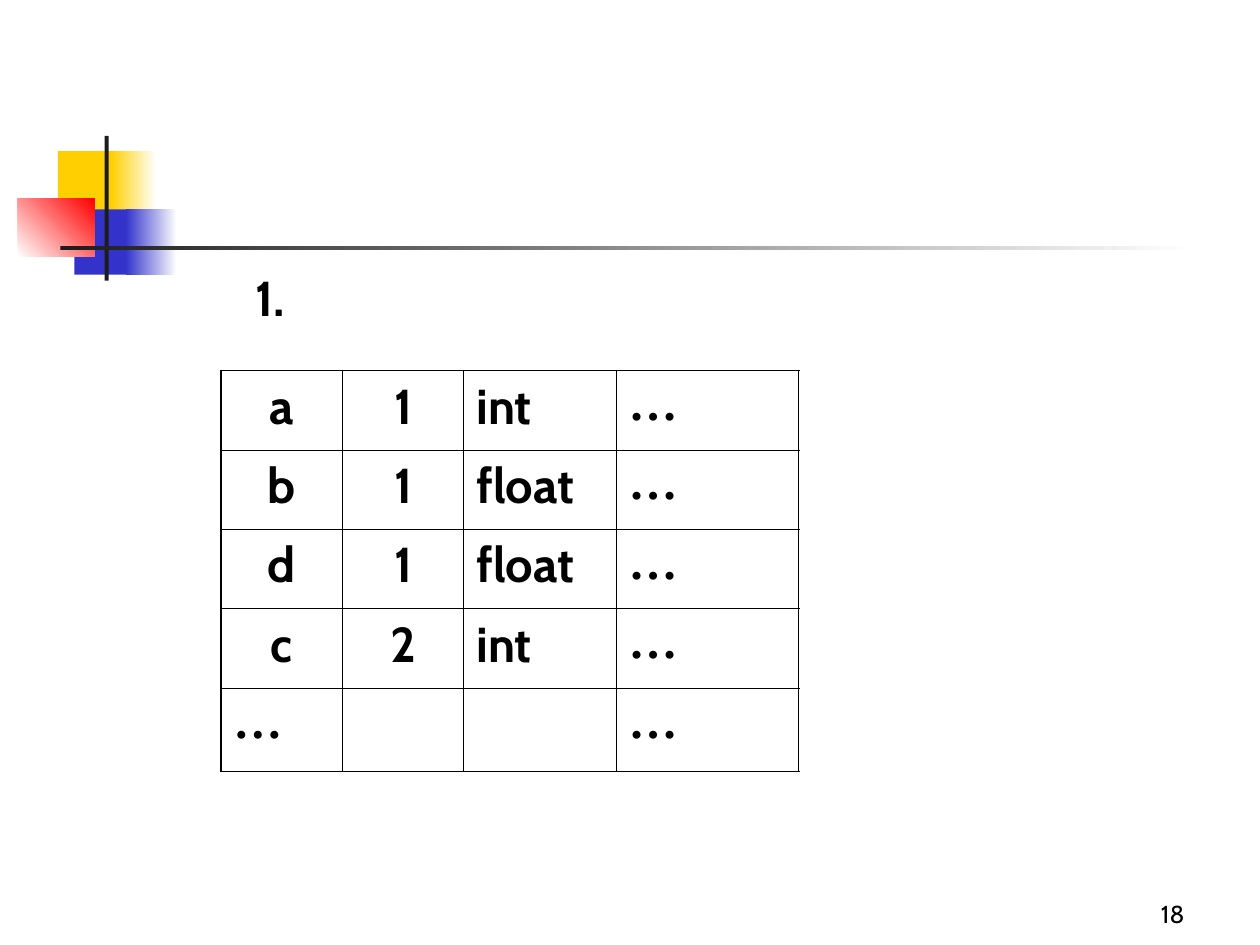
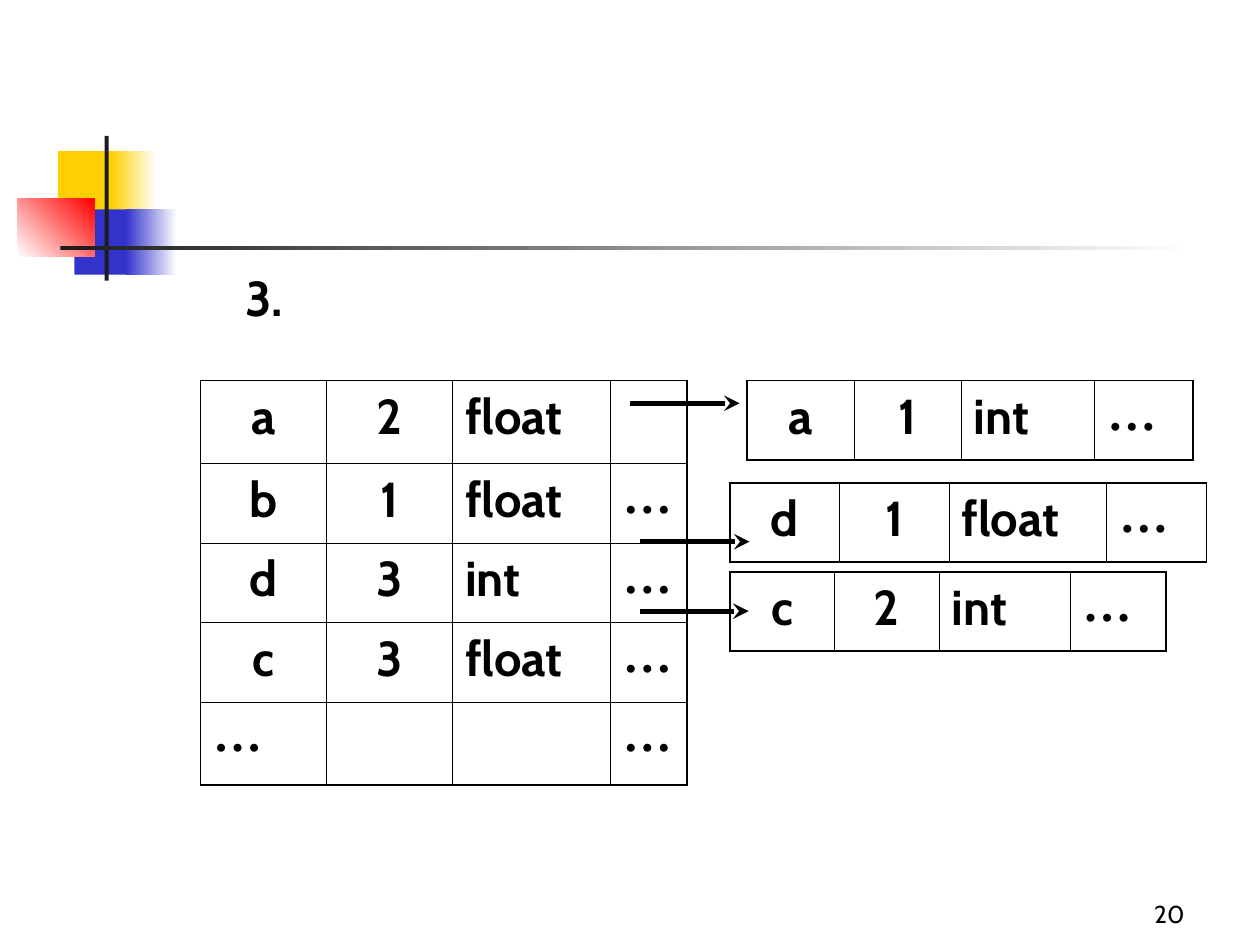
import pptx
import pptx.dml.color
import pptx.enum.shapes
import pptx.enum.text
import pptx.oxml
import pptx.oxml.ns
import pptx.util
from lxml import etree

Cm = pptx.util.Cm
Pt = pptx.util.Pt
ALIGN = pptx.enum.text.PP_ALIGN
ANCHOR = pptx.enum.text.MSO_ANCHOR

# Shared look
BLACK, WHITE = "000000", "FFFFFF"
YELLOW, BLUE, RED, DARK = "FFCF01", "3333CC", "FF0000", "1C1C1C"
BODY_FORMAT = {"name": "Cabin", "size": Pt(28), "bold": True}
DOTS_FORMAT = {**BODY_FORMAT, "name": "Times New Roman"}
NUMBER_FORMAT = {"name": "Cabin", "size": Pt(14), "bold": False}
INNER_LINE, OUTER_LINE, ARROW_LINE = Pt(0.45), Pt(1.08), Pt(3)
ROW_HEIGHT, TALL_ROW = 1.6, 1.68

# Corner ornament: box in cm, colours (two make a gradient), angle
ORNAMENT = [
    ((1.17, 3.05, 1.22, 1.32), [YELLOW], 0),
    ((2.24, 3.05, 0.91, 1.32), [YELLOW, WHITE], 0),
    ((1.5, 4.22, 1.17, 1.32), [BLUE], 0),
    ((2.54, 4.22, 1.02, 1.32), [BLUE, WHITE], 0),
    ((0.36, 4.01, 1.55, 1.17), [WHITE, RED], 45),
    ((2.11, 2.74, 0.08, 2.92), [DARK], 0),
    ((1.22, 4.95, 22.86, 0.09), [DARK, WHITE], 0),
]
NUMBER_BOX = (18.85, 17.58, 5.28, 1.27)

# Slide content: symbol tables and the arrows to the hidden entries
SLIDES = [
    {
        "number": "18",
        "heading": ("1.", (4.9, 5.26, 1.73, 1.65)),
        "tables": [
            {
                "at": (4.45, 7.47),
                "columns": [2.46, 2.44, 3.07, 3.68],
                "tall_rows": [4],
                "rows": [
                    ["a", "1", "int", "…"],
                    ["b", "1", "float", "…"],
                    ["d", "1", "float", "…"],
                    ["c", "2", "int", "…"],
                    ["…", "", "", "…"],
                ],
            },
        ],
        "arrows": [],
    },
    {
        "number": "20",
        "heading": ("3.", (4.7, 5.26, 1.8, 1.65)),
        "tables": [
            {
                "at": (4.04, 7.67),
                "columns": [2.54, 2.54, 3.18, 1.55],
                "tall_rows": [0, 4],
                "rows": [
                    ["a", "2", "float", ""],
                    ["b", "1", "float", "…"],
                    ["d", "3", "int", "…"],
                    ["c", "3", "float", "…"],
                    ["…", "", "", "…"],
                ],
            },
            {"at": (15.06, 7.67), "columns": [2.16, 2.16, 2.69, 1.98],
             "tall_rows": [], "rows": [["a", "1", "int", "…"]]},
            {"at": (14.71, 9.73), "columns": [2.21, 2.21, 3.18, 2.01],
             "tall_rows": [], "rows": [["d", "1", "float", "…"]]},
            {"at": (14.71, 11.53), "columns": [2.11, 2.11, 2.64, 1.93],
             "tall_rows": [], "rows": [["c", "2", "int", "…"]]},
        ],
        # left, right, height on the slide
        "arrows": [(12.7, 14.91, 8.13), (12.9, 15.11, 10.92), (12.9, 15.09, 12.32)],
    },
]


def color(value):
    return pptx.dml.color.RGBColor.from_string(value)


def lengths(values):
    return [Cm(value) for value in values]


def write(text_frame, text, font_format, alignment=ALIGN.LEFT):
    paragraph = text_frame.paragraphs[0]
    paragraph.alignment = alignment
    run = paragraph.add_run()
    run.text = text
    for name, value in font_format.items():
        setattr(run.font, name, value)
    run.font.color.rgb = color(BLACK)


def add_text(slide, box, text, font_format, alignment=ALIGN.LEFT, anchor=ANCHOR.TOP):
    text_frame = slide.shapes.add_textbox(*lengths(box)).text_frame
    text_frame.word_wrap = True
    text_frame.vertical_anchor = anchor
    write(text_frame, text, font_format, alignment)


def add_ornament(slide):
    rectangle = pptx.enum.shapes.MSO_SHAPE.RECTANGLE
    for box, colors, angle in ORNAMENT:
        shape = slide.shapes.add_shape(rectangle, *lengths(box))
        shape.shadow.inherit = False
        shape.line.fill.background()
        if len(colors) == 1:
            shape.fill.solid()
            shape.fill.fore_color.rgb = color(colors[0])
        else:
            shape.fill.gradient()
            shape.fill.gradient_angle = angle
            for stop, value in zip(shape.fill.gradient_stops, colors):
                stop.color.rgb = color(value)


def add_border(cell, side, width):
    properties = cell._tc.get_or_add_tcPr()
    line = etree.SubElement(properties, pptx.oxml.ns.qn(f"a:ln{side}"), w=str(int(width)))
    fill = etree.SubElement(line, pptx.oxml.ns.qn("a:solidFill"))
    etree.SubElement(fill, pptx.oxml.ns.qn("a:srgbClr"), val=BLACK)


def add_symbol_table(slide, at, columns, rows, tall_rows):
    heights = [TALL_ROW if index in tall_rows else ROW_HEIGHT for index in range(len(rows))]
    table = slide.shapes.add_table(
        len(rows), len(columns), *lengths([*at, sum(columns), sum(heights)])).table
    table.first_row = table.horz_banding = False
    for column, width in zip(table.columns, columns):
        column.width = Cm(width)
    for row, height in zip(table.rows, heights):
        row.height = Cm(height)

    last_row, last_column = len(rows) - 1, len(columns) - 1
    for row_index, row in enumerate(rows):
        for column_index, text in enumerate(row):
            cell = table.cell(row_index, column_index)
            outer_sides = {"L": column_index == 0, "R": column_index == last_column,
                           "T": row_index == 0, "B": row_index == last_row}
            for side, is_outer in outer_sides.items():
                add_border(cell, side, OUTER_LINE if is_outer else INNER_LINE)
            cell.fill.background()
            if text == "…":
                write(cell.text_frame, text, DOTS_FORMAT)
            elif text:
                alignment = ALIGN.CENTER if column_index < 2 else ALIGN.LEFT
                write(cell.text_frame, text, BODY_FORMAT, alignment)


def add_arrow(slide, left, right, top):
    arrow = slide.shapes.add_connector(
        pptx.enum.shapes.MSO_CONNECTOR.STRAIGHT, *lengths([left, top, right, top]))
    arrow.line.width = ARROW_LINE
    arrow.line.color.rgb = color(BLACK)
    etree.SubElement(arrow.line._get_or_add_ln(), pptx.oxml.ns.qn("a:tailEnd"), type="stealth")
    etree.SubElement(arrow._element.spPr, pptx.oxml.ns.qn("a:effectLst"))


def main():
    presentation = pptx.Presentation()
    presentation.slide_width, presentation.slide_height = Cm(25.4), Cm(19.05)
    for content in SLIDES:
        slide = presentation.slides.add_slide(presentation.slide_layouts[6])
        add_ornament(slide)
        add_text(slide, NUMBER_BOX, content["number"], NUMBER_FORMAT,
                 ALIGN.RIGHT, ANCHOR.BOTTOM)
        heading, heading_box = content["heading"]
        add_text(slide, heading_box, heading, BODY_FORMAT)
        for table in content["tables"]:
            add_symbol_table(slide, **table)
        for arrow in content["arrows"]:
            add_arrow(slide, *arrow)
    presentation.save("out.pptx")


if __name__ == "__main__":
    main()
